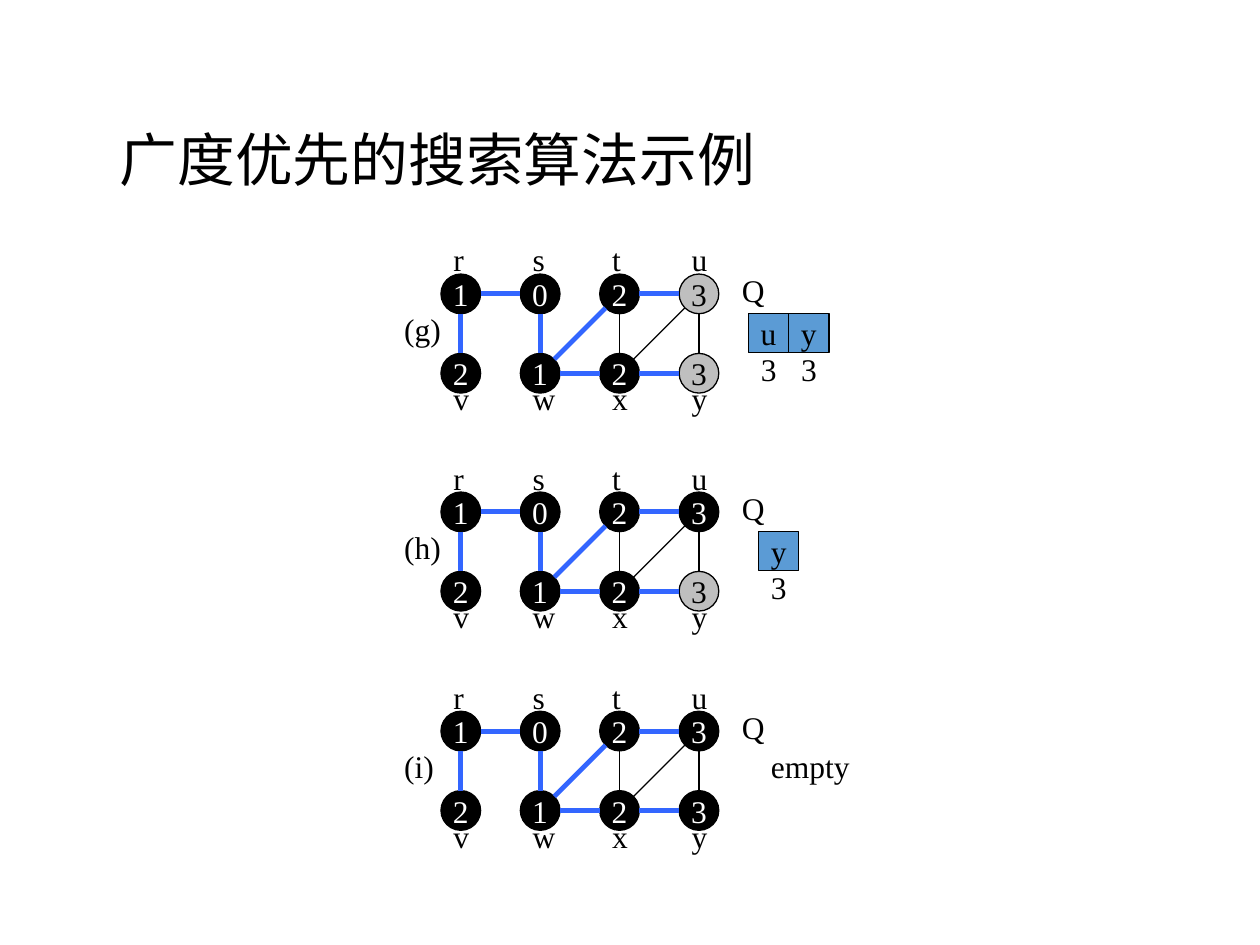
from math import hypot

from lxml import etree
from pptx import Presentation
from pptx.dml.color import RGBColor
from pptx.enum.shapes import MSO_CONNECTOR, MSO_SHAPE
from pptx.enum.text import MSO_ANCHOR, MSO_AUTO_SIZE, PP_ALIGN
from pptx.oxml.ns import qn
from pptx.util import Inches, Pt

TITLE = "广度优先的搜索算法示例"
TITLE_FONT, FONT = "Noto Sans CJK SC", "Times New Roman"
BLACK, WHITE, GRAY, BLUE, CELL_BLUE = "000000", "FFFFFF", "BFBFBF", "3366FF", "5B9BD5"

# vertex: (column, row, distance)
VERTICES = {
    "r": (0, 0, 1), "v": (0, 1, 2), "s": (1, 0, 0), "w": (1, 1, 1),
    "t": (2, 0, 2), "x": (2, 1, 2), "u": (3, 0, 3), "y": (3, 1, 3),
}
TREE_EDGES = ["rv", "rs", "sw", "wt", "xw", "xy", "tu"]
OTHER_EDGES = ["tx", "uy", "ux"]
# panel label, top, vertices in the queue (gray), left of the queue
PANELS = [
    ("(g)", 1.86, "uy", 5.94),
    ("(h)", 3.59, "y", 6.02),
    ("(i)", 5.33, "", 6.02),
]
LEFT, PITCH = 3.5, 0.63
NODE = PITCH / 2
CELL_W, CELL_H = 0.32, 0.31


def rgb(color):
    return RGBColor.from_string(color)


def write(shape, text, color=BLACK, size=18, font=FONT, align=PP_ALIGN.LEFT):
    p = shape.text_frame.paragraphs[0]
    p.alignment = align
    r = p.add_run()
    r.text = text
    for name, value in {"name": font, "size": Pt(size)}.items():
        setattr(r.font, name, value)
    r.font.color.rgb = rgb(color)
    return r


def add_label(s, text, x, y, w):
    box = s.shapes.add_textbox(Inches(x), Inches(y), Inches(w), Inches(0.4))
    box.text_frame.word_wrap = True
    box.text_frame.auto_size = MSO_AUTO_SIZE.SHAPE_TO_FIT_TEXT
    write(box, text)


def add_block(s, kind, text, x, y, w, h, fill, color=BLACK):
    sp = s.shapes.add_shape(kind, Inches(x), Inches(y), Inches(w), Inches(h))
    sp.shadow.inherit = False
    sp.fill.solid()
    sp.fill.fore_color.rgb = rgb(fill)
    sp.line.color.rgb = rgb(BLACK)
    sp.line.width = Pt(0.75)
    sp.text_frame.word_wrap = False
    sp.text_frame.vertical_anchor = MSO_ANCHOR.MIDDLE
    write(sp, text, color, align=PP_ALIGN.CENTER)


def add_edge(s, start, end, color, width):
    """Draw a line between two node centres, trimmed to the circles."""
    (x1, y1), (x2, y2) = start, end
    trim = NODE / 2 / hypot(x2 - x1, y2 - y1)
    dx, dy = (x2 - x1) * trim, (y2 - y1) * trim
    ends = (x1 + dx, y1 + dy, x2 - dx, y2 - dy)
    line = s.shapes.add_connector(MSO_CONNECTOR.STRAIGHT, *map(Inches, ends))
    line.line.color.rgb = rgb(color)
    line.line.width = Pt(width)
    etree.SubElement(line._element.spPr, qn("a:effectLst"))


def add_graph(s, top, queue):
    centres = {}
    for name, (col, row, distance) in VERTICES.items():
        x, y = LEFT + col * PITCH, top + NODE + row * PITCH
        fill, color = (GRAY, BLACK) if name in queue else (BLACK, WHITE)
        add_block(s, MSO_SHAPE.OVAL, str(distance), x, y, NODE, NODE, fill, color)
        centres[name] = (x + NODE / 2, y + NODE / 2)
    for edges, color, width in ((TREE_EDGES, BLUE, 2.75), (OTHER_EDGES, BLACK, 0.75)):
        for a, b in edges:
            add_edge(s, centres[a], centres[b], color, width)
    for name, (col, row, _) in VERTICES.items():
        label_top = centres[name][1] if row else top
        add_label(s, name, LEFT + col * PITCH, label_top, NODE)


def add_queue(s, top, queue, left):
    add_label(s, "Q", 5.79, top + 0.24, 0.47)
    if not queue:
        add_label(s, "empty", left, top + 0.55, 0.87)
    for i, name in enumerate(queue):
        x = left + i * CELL_W
        add_block(s, MSO_SHAPE.RECTANGLE, name, x, top + PITCH, CELL_W, CELL_H, CELL_BLUE)
        add_label(s, str(VERTICES[name][2]), x, top + 0.87, CELL_W)


def add_title(s):
    title = s.shapes.title
    box = {"left": 0.85, "top": 0.57, "width": 8.62, "height": 1.45}
    for name, value in box.items():
        setattr(title, name, Inches(value))
    title.text_frame.auto_size = MSO_AUTO_SIZE.NONE
    title.text_frame.vertical_anchor = MSO_ANCHOR.MIDDLE
    r = write(title, TITLE, size=33, font=TITLE_FONT)
    etree.SubElement(r.font._element, qn("a:ea"), typeface=TITLE_FONT)
    title.text_frame.paragraphs[0].line_spacing = 0.9


def main():
    prs = Presentation()
    prs.slide_width, prs.slide_height = Inches(10), Inches(7.5)
    s = prs.slides.add_slide(prs.slide_layouts[5])
    add_title(s)
    for label, top, queue, queue_left in PANELS:
        add_graph(s, top, queue)
        add_label(s, label, 3.11, top + 0.55, 0.63)
        add_queue(s, top, queue, queue_left)
    prs.save("out.pptx")


if __name__ == "__main__":
    main()
